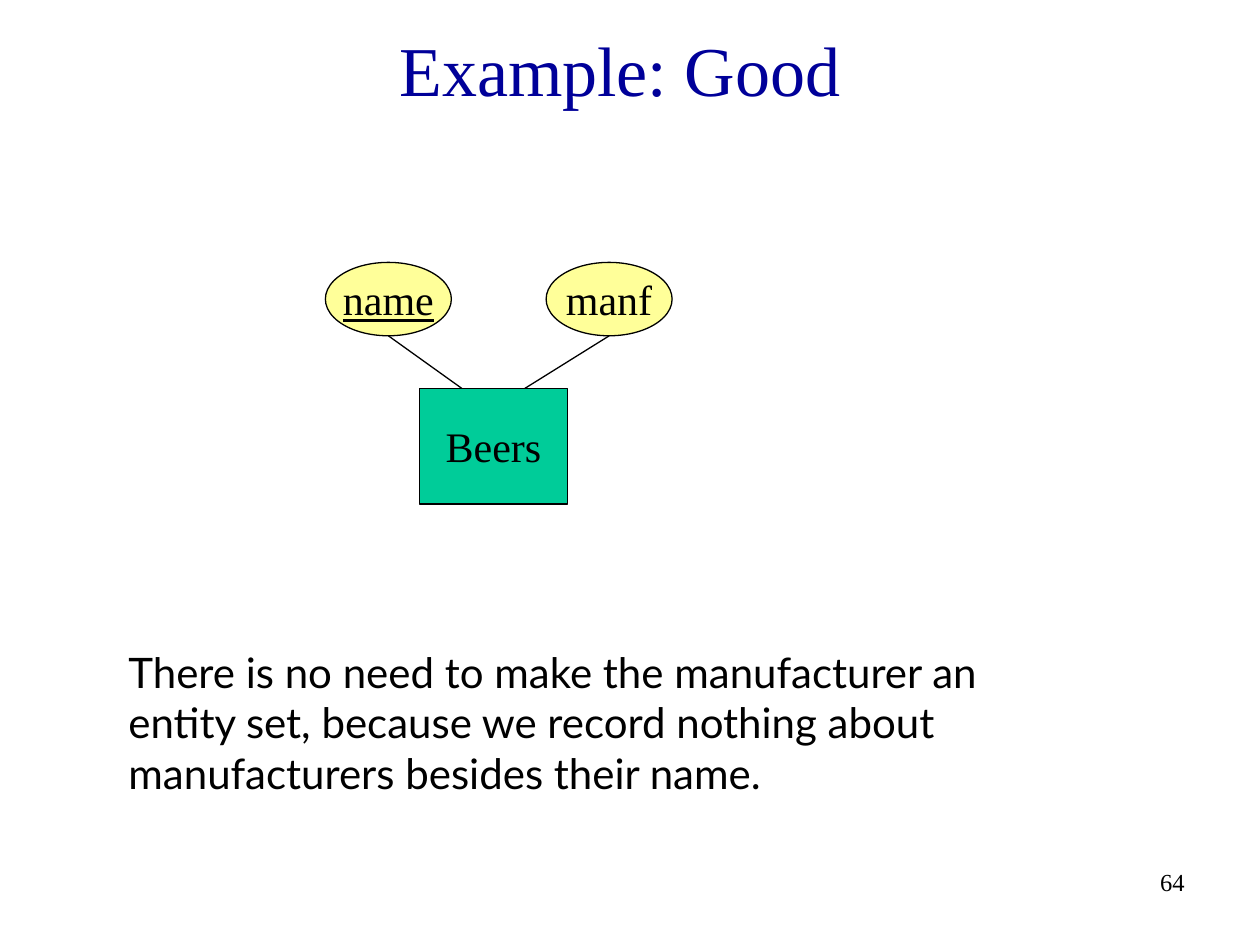
from typing import NamedTuple

from lxml import etree
from pptx import Presentation
from pptx import util as u
from pptx.dml.color import RGBColor
from pptx.enum import shapes, text
from pptx.oxml.ns import qn

BLACK = RGBColor(0x00, 0x00, 0x00)
NAVY = RGBColor(0x00, 0x00, 0x99)
GREEN = RGBColor(0x00, 0xCC, 0x99)
YELLOW = RGBColor(0xFF, 0xFF, 0x99)
SERIF = "Times New Roman"
SANS = "Lato"
LINE_WIDTH = u.Pt(0.75)


class Box(NamedTuple):
    left: float
    top: float
    width: float
    height: float


class Label(NamedTuple):
    words: str
    box: Box
    size: int
    alignment: text.PP_ALIGN
    anchor: text.MSO_ANCHOR = text.MSO_ANCHOR.TOP
    font: str = SERIF
    color: RGBColor = BLACK


class Node(NamedTuple):
    words: str
    box: Box
    kind: shapes.MSO_SHAPE
    fill: RGBColor
    underline: bool = False


class Link(NamedTuple):
    attribute: Node
    end_x: float


ENTITY = Node("Beers", Box(8.46, 7.83, 2.98, 2.33), shapes.MSO_SHAPE.RECTANGLE, GREEN)
NAME = Node("name", Box(6.56, 5.29, 2.54, 1.48), shapes.MSO_SHAPE.OVAL, YELLOW, True)
MANF = Node("manf", Box(11.01, 5.29, 2.54, 1.48), shapes.MSO_SHAPE.OVAL, YELLOW)
LINKS = [Link(NAME, 9.31), Link(MANF, 10.58)]
LABELS = [
    Label("64", Box(18.85, 17.35, 5.28, 1.27), 14, text.PP_ALIGN.RIGHT),
    Label("Example: Good", Box(0.43, 0.43, 24.13, 1.9), 40, text.PP_ALIGN.CENTER,
          text.MSO_ANCHOR.MIDDLE, color=NAVY),
    Label("There is no need to make the manufacturer an entity set, because we "
          "record nothing about manufacturers besides their name.",
          Box(2.34, 12.91, 19.1, 3.3), 24, text.PP_ALIGN.LEFT, font=SANS),
]


def write(shape, words: str, frame_format: dict, alignment: text.PP_ALIGN,
          font_format: dict, color: RGBColor) -> None:
    frame = shape.text_frame
    for key, value in frame_format.items():
        setattr(frame, key, value)
    paragraph = frame.paragraphs[0]
    paragraph.alignment = alignment
    run = paragraph.add_run()
    run.text = words
    for key, value in font_format.items():
        setattr(run.font, key, value)
    run.font.color.rgb = color


def draw_label(slide, label: Label) -> None:
    shape = slide.shapes.add_textbox(*map(u.Cm, label.box))
    write(shape, label.words,
          {"word_wrap": True, "vertical_anchor": label.anchor},
          label.alignment,
          {"name": label.font, "size": u.Pt(label.size)}, label.color)


def draw_node(slide, node: Node) -> None:
    shape = slide.shapes.add_shape(node.kind, *map(u.Cm, node.box))
    shape.shadow.inherit = False
    shape.fill.solid()
    shape.fill.fore_color.rgb = node.fill
    shape.line.color.rgb = BLACK
    shape.line.width = LINE_WIDTH
    write(shape, node.words,
          {"word_wrap": False, "vertical_anchor": text.MSO_ANCHOR.MIDDLE},
          text.PP_ALIGN.CENTER,
          {"name": SERIF, "size": u.Pt(24), "underline": node.underline}, BLACK)


def draw_link(slide, link: Link) -> None:
    box = link.attribute.box
    ends = (box.left + box.width / 2, box.top + box.height, link.end_x, ENTITY.box.top)
    connector = slide.shapes.add_connector(
        shapes.MSO_CONNECTOR.STRAIGHT, *map(u.Cm, ends))
    connector.line.color.rgb = BLACK
    connector.line.width = LINE_WIDTH
    etree.SubElement(connector._element.spPr, qn("a:effectLst"))


def main() -> None:
    presentation = Presentation()
    presentation.slide_width = u.Cm(25.4)
    presentation.slide_height = u.Cm(19.05)
    slide = presentation.slides.add_slide(presentation.slide_layouts[6])
    for label in LABELS:
        draw_label(slide, label)
    for node in (ENTITY, NAME, MANF):
        draw_node(slide, node)
    for link in LINKS:
        draw_link(slide, link)
    presentation.save("out.pptx")


if __name__ == "__main__":
    main()
